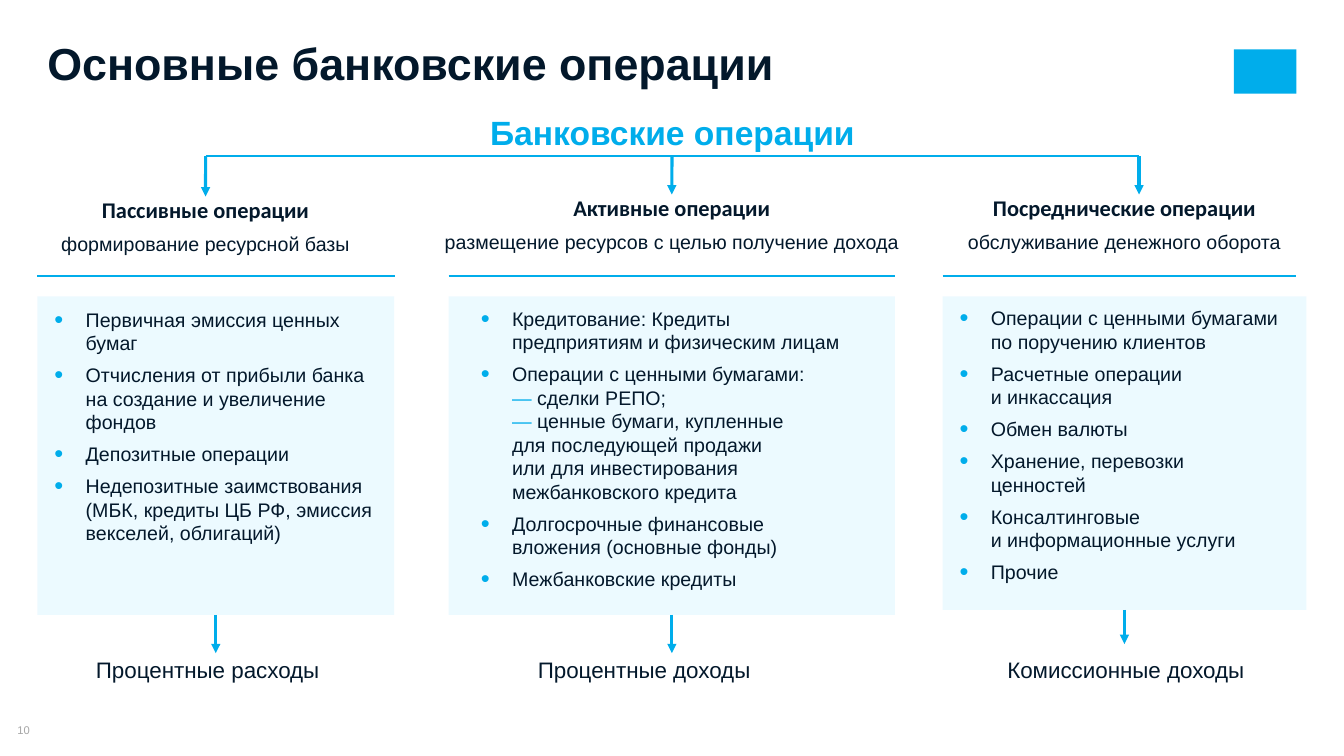
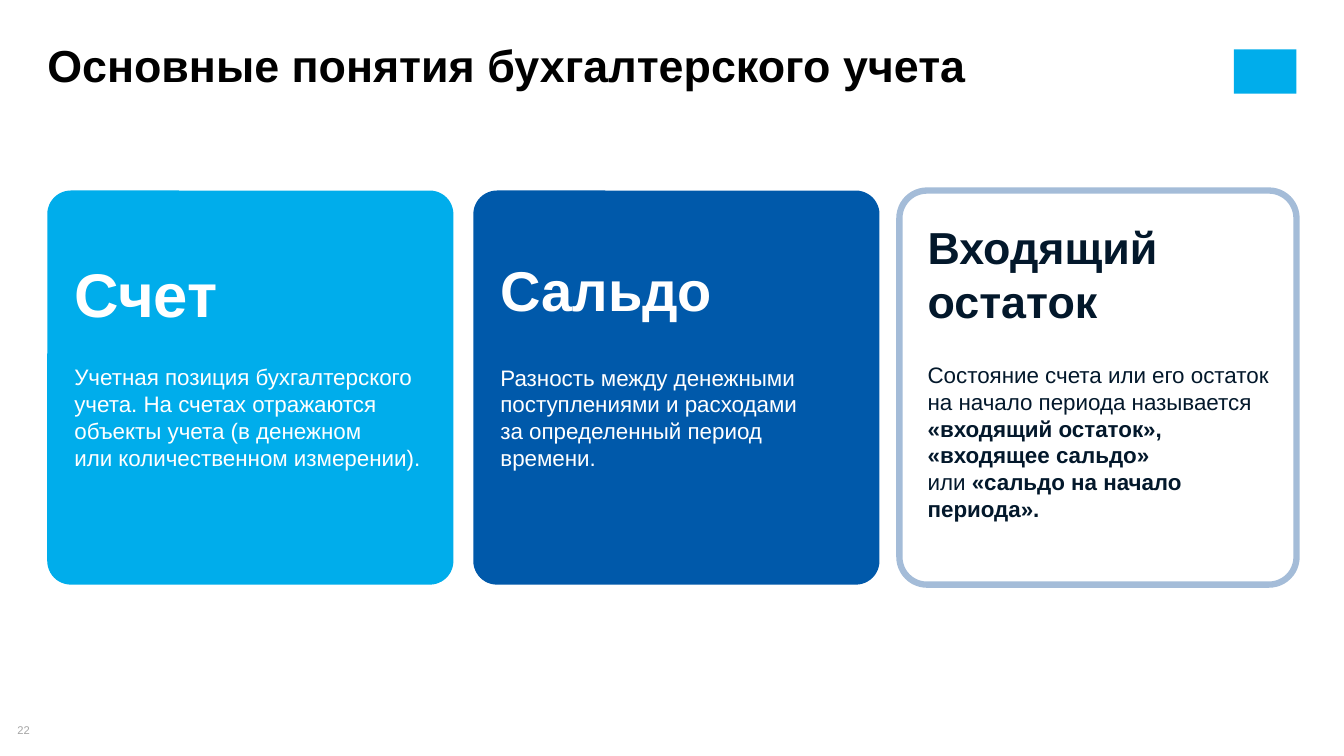
from copy import deepcopy
from dataclasses import dataclass
from typing import Any, NamedTuple, Optional, Sequence

from lxml.etree import SubElement
from pptx import Presentation
from pptx.dml.color import RGBColor
from pptx.enum.shapes import MSO_CONNECTOR, MSO_SHAPE
from pptx.enum.text import MSO_ANCHOR, PP_ALIGN
from pptx.oxml.ns import qn
from pptx.util import Inches, Pt

SKY = RGBColor(0x00, 0xAD, 0xEB)
BLUE = RGBColor(0x00, 0x59, 0xAA)
PALE = RGBColor(0xE5, 0xF8, 0xFF)
MIST = RGBColor(0xA4, 0xBC, 0xD8)
NAVY = RGBColor(0x03, 0x18, 0x2B)
GREY = RGBColor(0xA6, 0xA6, 0xA6)
BLACK = RGBColor(0, 0, 0)
WHITE = RGBColor(0xFF, 0xFF, 0xFF)

# All positions are percentages of the slide's width and height
SLIDE_WIDTH, SLIDE_HEIGHT = Inches(13.333), Inches(7.5)
TREE_TOP, TREE_TIP = 20.67, 25.73
RULE_TOP, PANEL_TOP = 36.53, 39.2
OUTCOME_TOP = 86.8
CARD_LEFT, CARD_TOP, CARD_HEIGHT, CARD_PITCH = 3.52, 25.2, 52.13, 31.7


class Box(NamedTuple):
    left: float
    top: float
    width: float
    height: float


class Span(NamedTuple):
    text: str
    size: float
    color: RGBColor = NAVY
    bold: bool = False
    font: str = "Arial"


@dataclass
class Paragraph:
    spans: Sequence[Span]
    format: dict[str, Any]
    bullet: bool = False


@dataclass
class Operation:
    name: str
    purpose: str
    heading: Box
    arrow_x: float
    panel: Box
    rule_width: float
    items: Sequence[Sequence[Span]]
    list_box: Box
    outcome: str
    outcome_left: float
    outcome_tip: float


@dataclass
class Card:
    term: str
    term_size: float
    body: Sequence[Sequence[Span]]
    body_gap: float
    width: float
    fill: RGBColor
    color: RGBColor
    corner: float
    line: Optional[RGBColor] = None
    anchor: MSO_ANCHOR = MSO_ANCHOR.TOP
    top_inset: float = 0.58
    bottom_inset: float = 0.05


def across(share: float) -> int:
    return int(SLIDE_WIDTH * share / 100)


def down(share: float) -> int:
    return int(SLIDE_HEIGHT * share / 100)


def place(box: Box) -> tuple[int, int, int, int]:
    return across(box.left), down(box.top), across(box.width), down(box.height)


def add_bullet(para) -> None:
    properties = para._p.get_or_add_pPr()
    properties.set("marL", str(Inches(0.31)))
    properties.set("indent", str(-Inches(0.31)))
    color = SubElement(properties, qn("a:buClr"))
    SubElement(color, qn("a:srgbClr"), val=str(SKY))
    SubElement(properties, qn("a:buSzPct"), val="130000")
    SubElement(properties, qn("a:buFont"), typeface="Arial")
    SubElement(properties, qn("a:buChar"), char="•")


def add_span(para, span: Span) -> None:
    font_format = {"name": span.font, "size": Pt(span.size), "bold": span.bold}
    for index, line in enumerate(span.text.split("\n")):
        if index:
            # The break takes the text size of the run before it
            last_run = para.runs[-1]
            para.add_line_break()
            para._p[-1].append(deepcopy(last_run._r.rPr))
        if line:
            run = para.add_run()
            run.text = line
            for name, value in font_format.items():
                setattr(run.font, name, value)
            run.font.color.rgb = span.color


def fill_text(shape, paragraphs: Sequence[Paragraph], insets: Sequence[float] = (0, 0, 0, 0),
              anchor: MSO_ANCHOR = MSO_ANCHOR.TOP) -> None:
    frame = shape.text_frame
    frame_format = {"word_wrap": True, "vertical_anchor": anchor}
    for side, inset in zip(("left", "top", "right", "bottom"), insets):
        frame_format[f"margin_{side}"] = Inches(inset)
    for name, value in frame_format.items():
        setattr(frame, name, value)
    for index, paragraph in enumerate(paragraphs):
        para = frame.add_paragraph() if index else frame.paragraphs[0]
        if paragraph.bullet:
            add_bullet(para)
        for name, value in paragraph.format.items():
            setattr(para, name, value)
        for span in paragraph.spans:
            add_span(para, span)


def add_text(page, box: Box, paragraphs: Sequence[Paragraph],
             anchor: MSO_ANCHOR = MSO_ANCHOR.TOP):
    text_box = page.shapes.add_textbox(*place(box))
    fill_text(text_box, paragraphs, anchor=anchor)
    return text_box


def centered(*spans: Span) -> list[Paragraph]:
    return [Paragraph([span], {"alignment": PP_ALIGN.CENTER, "space_after": Pt(6)})
            for span in spans]


def add_block(page, preset: MSO_SHAPE, box: Box, fill: RGBColor,
              line: Optional[RGBColor] = None):
    block = page.shapes.add_shape(preset, *place(box))
    block.shadow.inherit = False
    block.fill.solid()
    block.fill.fore_color.rgb = fill
    if line is None:
        block.line.fill.background()
    else:
        block.line.color.rgb = line
        block.line.width = Pt(4.5)
    return block


def add_line(page, start: tuple[float, float], end: tuple[float, float],
             width: float = 1.25, arrow: bool = False):
    line = page.shapes.add_connector(MSO_CONNECTOR.STRAIGHT, across(start[0]), down(start[1]),
                                     across(end[0]), down(end[1]))
    line.line.color.rgb = SKY
    line.line.width = Pt(width)
    if arrow:
        SubElement(line.line._get_or_add_ln(), qn("a:tailEnd"), type="triangle")
    SubElement(line._element.spPr, qn("a:effectLst"))
    return line


def add_page(deck, title: str, title_top: float, title_color: RGBColor, number: int):
    """Blank page with the shared title, corner mark and page number."""
    page = deck.slides.add_slide(deck.slide_layouts[6])
    add_block(page, MSO_SHAPE.RECTANGLE, Box(91.8, 6.53, 4.65, 5.87), SKY)
    add_text(page, Box(0, 95.73, 3.53, 1.73),
             [Paragraph([Span(str(number), 8, GREY)], {"alignment": PP_ALIGN.CENTER})],
             MSO_ANCHOR.MIDDLE)
    add_text(page, Box(3.52, title_top, 78.9, 5.73),
             [Paragraph([Span(title, 32, title_color, True)], {"line_spacing": 0.8})])
    return page


def draw_operation(page, operation: Operation) -> None:
    # Branch of the tree and heading
    heading = add_text(page, operation.heading, centered(
        Span(operation.name, 16, bold=True, font="Calibri"), Span(operation.purpose, 14)))
    branch = add_line(page, (operation.arrow_x, TREE_TOP), (operation.arrow_x, TREE_TIP),
                      2.25, True)
    if abs(operation.heading.left + operation.heading.width / 2 - operation.arrow_x) < 0.1:
        branch.end_connect(heading, 0)

    # Rule, panel and list
    left = operation.panel.left
    add_line(page, (left, RULE_TOP), (left + operation.rule_width, RULE_TOP))
    panel = add_block(page, MSO_SHAPE.RECTANGLE, operation.panel, PALE)
    panel_color = panel._element.spPr.find(qn("a:solidFill"))[0]
    SubElement(panel_color, qn("a:alpha"), val="70000")
    add_text(page, operation.list_box,
             [Paragraph(spans, {"space_after": Pt(6)}, True) for spans in operation.items])

    # Outcome below the panel
    middle = left + operation.panel.width / 2
    arrow = add_line(page, (middle, operation.panel.top + operation.panel.height),
                     (middle, operation.outcome_tip), 2.25, True)
    arrow.begin_connect(panel, 2)
    add_text(page, Box(operation.outcome_left, OUTCOME_TOP, 24.3, 3.6),
             centered(Span(operation.outcome, 16)))


def draw_card(page, card: Card, index: int) -> None:
    box = Box(CARD_LEFT + index * CARD_PITCH, CARD_TOP, card.width, CARD_HEIGHT)
    block = add_block(page, MSO_SHAPE.ROUNDED_RECTANGLE, box, card.fill, card.line)
    block.adjustments[0] = card.corner
    left = {"alignment": PP_ALIGN.LEFT}
    paragraphs = [Paragraph([Span(card.term, card.term_size, card.color, True)], left)]
    for number, spans in enumerate(card.body):
        gap = {} if number else {"space_before": Pt(card.body_gap)}
        paragraphs.append(Paragraph(spans, left | gap))
    fill_text(block, paragraphs, (0.2, card.top_inset, 0.1, card.bottom_inset), card.anchor)


def plain_items(*texts: str) -> list[list[Span]]:
    return [[Span(text, 14)] for text in texts]


DASH = Span("— ", 14, SKY)
OPERATIONS = [
    Operation(
        "Пассивные операции", "формирование ресурсной базы",
        Box(2.62, 26, 25.35, 7.87), 15.3, Box(2.78, PANEL_TOP, 26.55, 42.13), 26.62,
        plain_items("Первичная эмиссия ценных бумаг",
                    "Отчисления от прибыли банка\nна создание и увеличение фондов",
                    "Депозитные операции",
                    "Недепозитные заимствования\n(МБК, кредиты ЦБ РФ, эмиссия векселей, облигаций)"),
        Box(4.05, 40.67, 24.3, 31.6), "Процентные расходы", 3.3, 86.4),
    Operation(
        "Активные операции", "размещение ресурсов с целью получение дохода",
        Box(32.25, 25.73, 35.48, 7.87), 50, Box(33.38, PANEL_TOP, 33.22, 42.13), 33.22,
        [*plain_items("Кредитование: Кредиты предприятиям и физическим лицам"),
         [Span("Операции с ценными бумагами:\n", 14), DASH, Span("сделки РЕПО;\n", 14), DASH,
          Span("ценные бумаги, купленные\nдля последующей продажи\n"
               "или для инвестирования межбанковского кредита", 14)],
         *plain_items("Долгосрочные финансовые вложения (основные фонды)",
                      "Межбанковские кредиты")],
        Box(35.78, 40.53, 27.68, 38.4), "Процентные доходы", 35.78, 86.4),
    Operation(
        "Посреднические операции", "обслуживание денежного оборота",
        Box(71.4, 25.73, 24.53, 7.87), 84.75, Box(70.13, PANEL_TOP, 27.07, 41.47), 26.32,
        plain_items("Операции с ценными бумагами по поручению клиентов",
                    "Расчетные операции\nи инкассация", "Обмен валюты",
                    "Хранение, перевозки\nценностей",
                    "Консалтинговые\nи информационные услуги", "Прочие"),
        Box(71.4, 40.53, 25.05, 37.07), "Комиссионные доходы", 71.62, 85.2),
]
CARDS = [
    Card("Счет", 44,
         [[Span("Учетная позиция бухгалтерского учета. На счетах отражаются объекты учета "
                "(в денежном\nили количественном измерении).", 16, WHITE)]],
         24, 30.22, SKY, WHITE, 0.06),
    Card("Сальдо", 40,
         [[Span("Разность между денежными поступлениями и расходами\n"
                "за определенный период", 16, WHITE)], [Span("времени.", 16, WHITE)]],
         29, 30.22, BLUE, WHITE, 0.06),
    Card("Входящий остаток", 32,
         [[Span("Состояние счета или его остаток на начало периода называется ", 16),
           Span("«входящий остаток», «входящее сальдо»\n", 16, bold=True), Span("или ", 16),
           Span("«сальдо на начало периода».", 16, bold=True)]],
         24, 29.55, WHITE, NAVY, 0.07, MIST, MSO_ANCHOR.MIDDLE, 0.05, 0.38),
]


def main() -> None:
    deck = Presentation()
    deck.slide_width, deck.slide_height = SLIDE_WIDTH, SLIDE_HEIGHT

    # Banking operations tree
    page = add_page(deck, "Основные банковские операции", 6.13, NAVY, 10)
    add_text(page, Box(10.58, 14.8, 78.9, 5.33),
             centered(Span("Банковские операции", 24, SKY, True)))
    add_line(page, (OPERATIONS[0].arrow_x, TREE_TOP), (OPERATIONS[-1].arrow_x, TREE_TOP))
    for operation in OPERATIONS:
        draw_operation(page, operation)

    # Accounting terms
    page = add_page(deck, "Основные понятия бухгалтерского учета", 6.4, BLACK, 22)
    for index, card in enumerate(CARDS):
        draw_card(page, card, index)

    deck.save("out.pptx")


if __name__ == "__main__":
    main()
